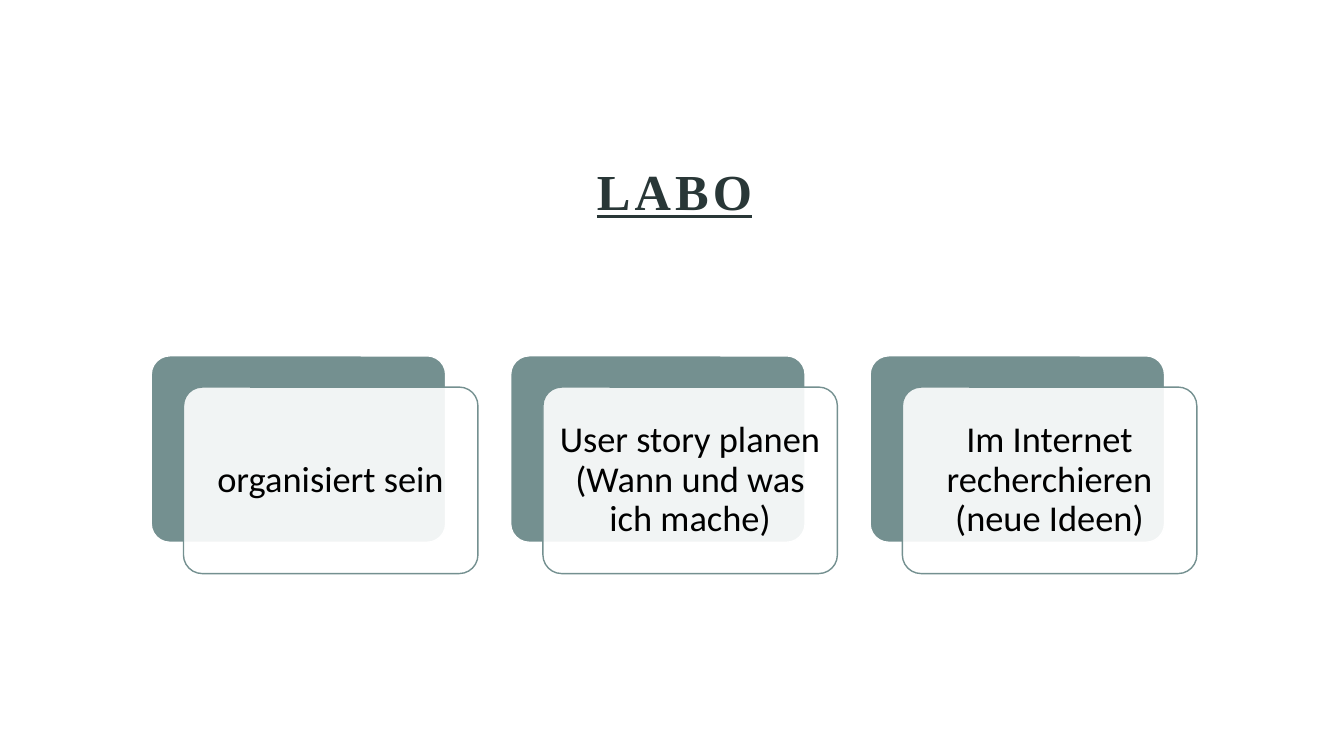
import pptx
import pptx.util
import pptx.dml.color
import pptx.enum.shapes
import pptx.enum.text
import pptx.oxml
import pptx.oxml.ns

Inches, Pt = pptx.util.Inches, pptx.util.Pt
ALIGN, ANCHOR = pptx.enum.text.PP_ALIGN, pptx.enum.text.MSO_ANCHOR

# Content
TITLE = "LABO"
CARDS = [
    "organisiert sein",
    "User story planen (Wann und was ich mache)",
    "Im Internet recherchieren (neue Ideen)",
]

# Layout in inches
LEFT, TOP, STEP = 1.5, 3.53, 3.565
CARD_W, CARD_H = 2.92, 1.85
SHIFT_X, SHIFT_Y = 0.32, 0.31
INSET = 0.11

# Colours
TEAL, DARK, WHITE, BLACK = "749090", "293737", "FFFFFF", "000000"


def rgb(value):
    return pptx.dml.color.RGBColor.from_string(value)


def fill_solid(sp, color):
    sp.fill.solid()
    sp.fill.fore_color.rgb = rgb(color)


def add_card(slide, left, top, fill, line):
    sp = slide.shapes.add_shape(
        pptx.enum.shapes.MSO_SHAPE.ROUNDED_RECTANGLE,
        Inches(left), Inches(top), Inches(CARD_W), Inches(CARD_H))
    sp.adjustments[0] = 0.1
    sp.shadow.inherit = False
    fill_solid(sp, fill)
    sp.line.color.rgb = rgb(line)
    sp.line.width = Pt(1)
    return sp


def set_opacity(sp, percent):
    color = sp.fill._xPr.find(".//" + pptx.oxml.ns.qn("a:srgbClr"))
    color.append(pptx.oxml.parse_xml(
        f'<a:alpha {pptx.oxml.ns.nsdecls("a")} val="{percent * 1000}"/>'))


def write(sp, text, size, font, color, anchor):
    tf = sp.text_frame
    tf.text = text
    tf.word_wrap = True
    tf.auto_size = pptx.enum.text.MSO_AUTO_SIZE.NONE
    tf.vertical_anchor = anchor
    p = tf.paragraphs[0]
    p.alignment = ALIGN.CENTER
    p.line_spacing = 0.9
    r = p.runs[0]
    r.font.size = Pt(size)
    r.font.name = font
    r.font.color.rgb = rgb(color)
    return r


prs = pptx.Presentation()
prs.slide_width, prs.slide_height = Inches(13.33), Inches(7.5)
slide = prs.slides.add_slide(prs.slide_layouts[5])

# Title
title = slide.shapes.title
title.left, title.top = Inches(LEFT), Inches(1.4)
title.width, title.height = Inches(10.38), Inches(0.85)
fill_solid(title, WHITE)
r = write(title, TITLE, 36, "Times New Roman", DARK, ANCHOR.BOTTOM)
r.font.bold = True
r.font.underline = True
r.font._element.set("spc", "300")

# Cards: teal back plate with a translucent text card in front
for i, text in enumerate(CARDS):
    left = LEFT + i * STEP
    add_card(slide, left, TOP, TEAL, WHITE)
    front = add_card(slide, left + SHIFT_X, TOP + SHIFT_Y, WHITE, TEAL)
    set_opacity(front, 90)
    write(front, text, 26, "Calibri", BLACK, ANCHOR.MIDDLE)
    tf = front.text_frame
    tf.margin_left = tf.margin_right = Inches(INSET)
    tf.margin_top = tf.margin_bottom = Inches(INSET)

prs.save("out.pptx")
